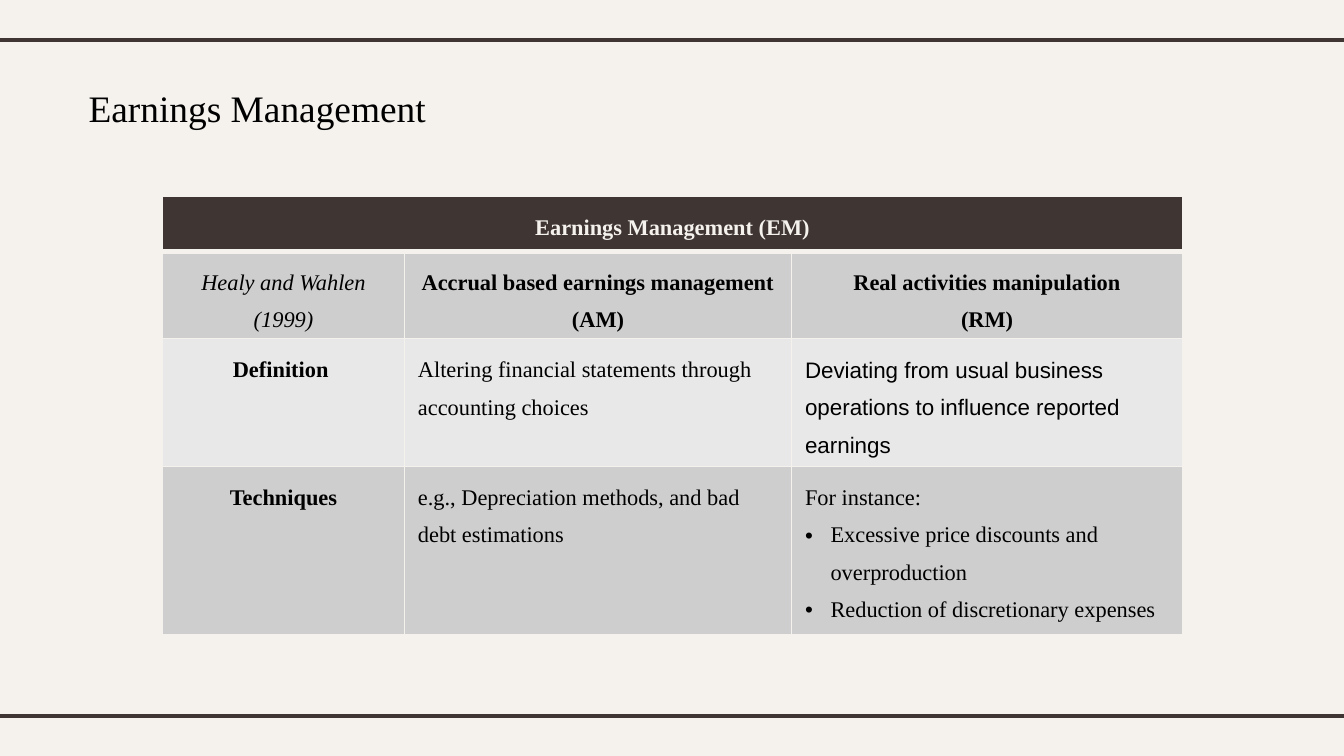
from lxml import etree
from pptx import Presentation
from pptx import util as u
from pptx.dml.color import RGBColor
from pptx.enum import shapes, text
from pptx.oxml.ns import qn

CREAM = RGBColor(0xF5, 0xF2, 0xEE)
BROWN = RGBColor(0x3F, 0x35, 0x33)
BLACK = RGBColor(0, 0, 0)
GREY = RGBColor(0xCF, 0xCE, 0xCE)
LIGHT_GREY = RGBColor(0xE8, 0xE8, 0xE8)
SERIF, SANS = "Times New Roman", "Arial"
COLUMNS = [1.8, 2.88, 2.91]
ROW_HEIGHT = 0.41  # rows grow to fit their text
ROW_FILLS = [BROWN, GREY, LIGHT_GREY, GREY]
CONTENT = [
    ["Earnings Management (EM)", "", ""],
    ["Healy and Wahlen (1999)", "Accrual based earnings management (AM)",
     "Real activities manipulation\n(RM)"],
    ["Definition ", "Altering financial statements through accounting choices",
     "Deviating from usual business operations to influence reported earnings"],
    ["Techniques", "e.g., Depreciation methods, and bad debt estimations",
     "For instance:\nExcessive price discounts and overproduction\n"
     "Reduction of discretionary expenses"],
]


def set_borders(cell, widths):
    """Draw cream borders; widths maps lnL, lnR, lnT and lnB to points."""
    properties = cell._tc.get_or_add_tcPr()
    for position, (side, width) in enumerate(widths.items()):
        line = etree.Element(qn("a:" + side), w=str(u.Pt(width)))
        fill = etree.SubElement(line, qn("a:solidFill"))
        etree.SubElement(fill, qn("a:srgbClr"), val=str(CREAM))
        properties.insert(position, line)


def set_indent(paragraph, left, first, bullet=None):
    properties = paragraph._p.get_or_add_pPr()
    properties.set("marL", str(u.Inches(left)))
    properties.set("indent", str(u.Inches(first)))
    if bullet:
        color = etree.SubElement(properties, qn("a:buClr"))
        etree.SubElement(color, qn("a:srgbClr"), val=str(BLACK))
        etree.SubElement(properties, qn("a:buFont"), typeface=SANS)
        etree.SubElement(properties, qn("a:buChar"), char=bullet)


presentation = Presentation()
presentation.slide_width = u.Inches(10)
presentation.slide_height = presentation.slide_width * 9 // 16
slide = presentation.slides.add_slide(presentation.slide_layouts[6])
slide.background.fill.solid()
slide.background.fill.fore_color.rgb = CREAM

# Rules across the top and bottom
for y in (0.3, 5.33):
    rule = slide.shapes.add_connector(
        shapes.MSO_CONNECTOR.STRAIGHT,
        u.Inches(-0.08), u.Inches(y), u.Inches(10.08), u.Inches(y))
    rule.line.color.rgb = BROWN
    rule.line.width = u.Pt(2.25)
    etree.SubElement(rule._element.spPr, qn("a:effectLst"))

# Title
title = slide.shapes.add_textbox(
    u.Inches(-1.13), u.Inches(0.53), u.Inches(5.97), u.Inches(0.48))
frame = title.text_frame
frame.word_wrap = True
frame.margin_left = frame.margin_right = u.Inches(0.1)
frame.margin_top = frame.margin_bottom = u.Inches(0.1)
frame.text = "Earnings Management"
paragraph = frame.paragraphs[0]
paragraph.alignment = text.PP_ALIGN.CENTER
set_indent(paragraph, 0.5, -0.38)
font = paragraph.runs[0].font
font.name, font.size, font.color.rgb = SERIF, u.Pt(20), BLACK

# Comparison table
table = slide.shapes.add_table(
    len(CONTENT), len(COLUMNS), u.Inches(1.21), u.Inches(1.46),
    u.Inches(sum(COLUMNS)), u.Inches(ROW_HEIGHT * len(CONTENT))).table
for column, width in zip(table.columns, COLUMNS):
    column.width = u.Inches(width)
table.cell(0, 0).merge(table.cell(0, len(COLUMNS) - 1))

for r, row_texts in enumerate(CONTENT):
    for c, cell_text in enumerate(row_texts):
        cell = table.cell(r, c)
        cell.margin_bottom = 0
        cell.fill.solid()
        cell.fill.fore_color.rgb = ROW_FILLS[r]
        set_borders(cell, {"lnL": 1, "lnR": 1, "lnT": 3 if r == 1 else 1,
                           "lnB": 3 if r == 0 else 1})
        if cell.is_spanned:
            continue
        cell.text_frame.text = cell_text
        heading = r < 2 or c == 0
        for p, paragraph in enumerate(cell.text_frame.paragraphs):
            paragraph.line_spacing = 1.5
            paragraph.alignment = (text.PP_ALIGN.CENTER if heading
                                   else text.PP_ALIGN.LEFT)
            if p > 0 and not heading:
                set_indent(paragraph, 0.19, -0.19, "•")
            font = paragraph.runs[0].font
            font.name = SANS if (r, c) == (2, 2) else SERIF
            font.size = u.Pt(12)
            font.color.rgb = CREAM if r == 0 else BLACK
            font.italic = (r, c) == (1, 0)
            font.bold = heading and not font.italic

presentation.save("out.pptx")
